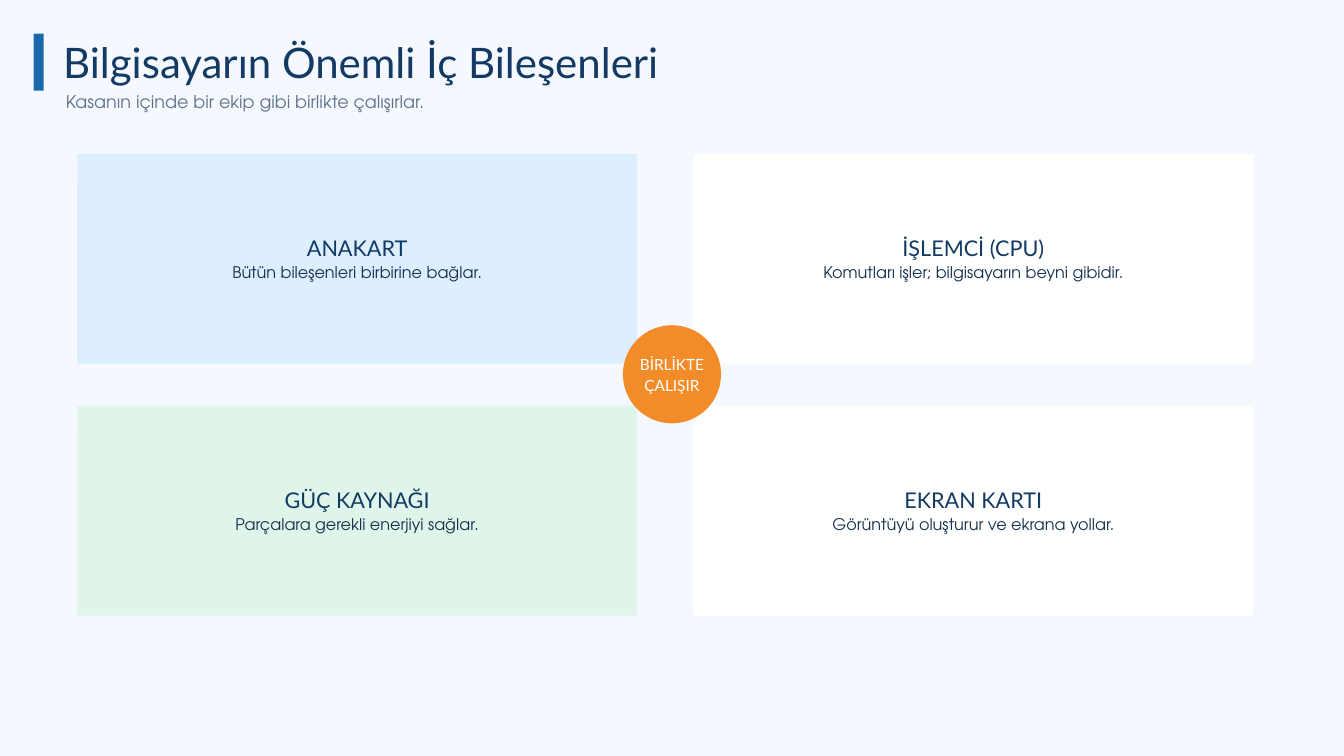
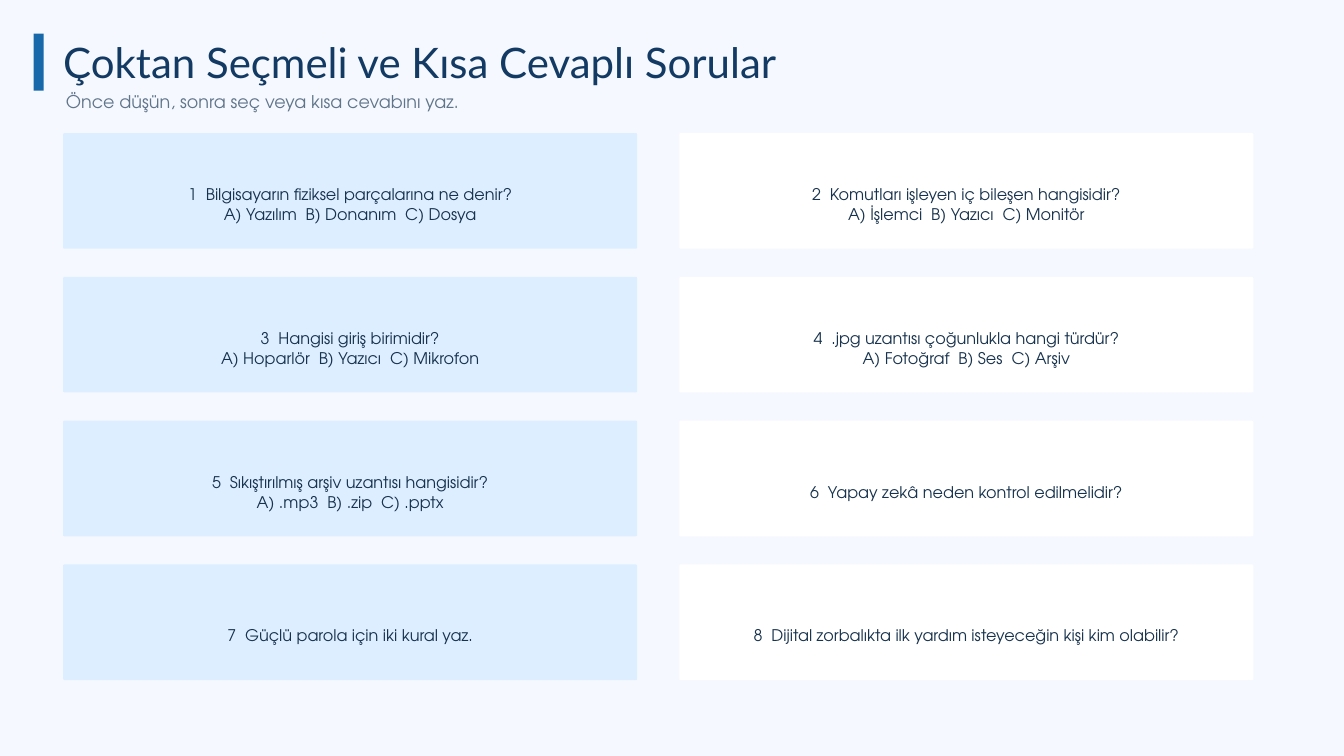
from pptx import Presentation
from pptx.dml.color import RGBColor
from pptx.enum.shapes import MSO_SHAPE as SHAPE
from pptx.enum.text import MSO_ANCHOR as ANCHOR, MSO_AUTO_SIZE as AUTO, PP_ALIGN as ALIGN
from pptx.util import Inches, Pt

PAPER = RGBColor(0xF5, 0xF8, 0xFF)
NAVY = RGBColor(0x12, 0x3A, 0x63)
INK = RGBColor(0x17, 0x32, 0x4D)
GREY = RGBColor(0x60, 0x75, 0x8A)
BLUE = RGBColor(0x17, 0x69, 0xAA)
SKY = RGBColor(0xDC, 0xEE, 0xFF)
MINT = RGBColor(0xDF, 0xF5, 0xE9)
ORANGE = RGBColor(0xF2, 0x8C, 0x28)
WHITE = RGBColor(0xFF, 0xFF, 0xFF)

HEAD_FONT, BODY_FONT = "Lato", "TeX Gyre Adventor"

# Text styles: font, size, colour, line spacing
TITLE = (HEAD_FONT, 45, NAVY, 47.2)
SUBTITLE = (BODY_FONT, 18.8, GREY, 26.2)
CARD_HEAD = (HEAD_FONT, 23.2, NAVY, 25.6)
CARD_BODY = (BODY_FONT, 17.2, INK, 21.6)
BADGE = (HEAD_FONT, 16.5, WHITE, 23.1)

PAD = 0.06
COL_PITCH = 9.17
RIGHT = 18.65
GAP_TRACKING = 480


def write(sp, lines, align=ALIGN.CENTER, anchor=ANCHOR.MIDDLE, pad=PAD, top=PAD, wrap=True):
    """Fill sp with (parts, style) lines; the parts of a line are set apart by a wide space."""
    tf = sp.text_frame
    tf.word_wrap, tf.auto_size, tf.vertical_anchor = wrap, AUTO.NONE, anchor
    tf.margin_left = tf.margin_right = tf.margin_bottom = Inches(pad)
    tf.margin_top = Inches(top)
    for i, (parts, (font, size, color, spacing)) in enumerate(lines):
        p = tf.add_paragraph() if i else tf.paragraphs[0]
        p.alignment, p.line_spacing = align, Pt(spacing)
        p.space_before = p.space_after = Pt(0)
        for j, part in enumerate(parts):
            for text in ([" ", part] if j else [part]):
                r = p.add_run()
                r.text = text
                r.font.name, r.font.size, r.font.color.rgb = font, Pt(size), color
                if text == " ":
                    r.font._element.set("spc", str(GAP_TRACKING))


def block(s, kind, x, y, w, h, color, radius=0.02):
    sp = s.shapes.add_shape(kind, Inches(x), Inches(y), Inches(w), Inches(h))
    sp.shadow.inherit = False
    sp.fill.solid()
    sp.fill.fore_color.rgb = color
    sp.line.fill.background()
    if kind == SHAPE.ROUNDED_RECTANGLE:
        sp.adjustments[0] = radius / h
    return sp


prs = Presentation()
prs.slide_width, prs.slide_height = Inches(20), Inches(11.25)
fill = prs.slide_master.background.fill
fill.solid()
fill.fore_color.rgb = PAPER

# Title, subtitle and accent bar on both slides
headings = [
    ("Bilgisayarın Önemli İç Bileşenleri", "Kasanın içinde bir ekip gibi birlikte çalışırlar."),
    ("Çoktan Seçmeli ve Kısa Cevaplı Sorular", "Önce düşün, sonra seç veya kısa cevabını yaz."),
]
for title, subtitle in headings:
    s = prs.slides.add_slide(prs.slide_layouts[5])
    sp = s.shapes.title
    sp.left, sp.top, sp.width, sp.height = [Inches(v) for v in (0.94, 0.64, 18.12, 0.68)]
    write(sp, [([title], TITLE)], ALIGN.LEFT, ANCHOR.TOP, 0, 0)
    sp = s.shapes.add_textbox(Inches(0.98), Inches(1.3), Inches(15.62), Inches(0.36))
    write(sp, [([subtitle], SUBTITLE)], ALIGN.LEFT, ANCHOR.TOP, 0, 0)
    block(s, SHAPE.RECTANGLE, 0.5, 0.5, 0.15, 0.85, BLUE)
parts_slide, quiz_slide = prs.slides

# Four components around a badge
components = [
    ("ANAKART", "Bütün bileşenleri birbirine bağlar.", SKY),
    ("İŞLEMCİ (CPU)", "Komutları işler; bilgisayarın beyni gibidir.", WHITE),
    ("GÜÇ KAYNAĞI", "Parçalara gerekli enerjiyi sağlar.", MINT),
    ("EKRAN KARTI", "Görüntüyü oluşturur ve ekrana yollar.", WHITE),
]
left, top, row_pitch, height = 1.15, 2.29, 3.75, 3.12
width = RIGHT - COL_PITCH - left
for i, (name, role, color) in enumerate(components):
    row, col = divmod(i, 2)
    sp = block(parts_slide, SHAPE.ROUNDED_RECTANGLE, left + col * COL_PITCH,
               top + row * row_pitch, width, height, color)
    write(sp, [([name], CARD_HEAD), ([role], CARD_BODY)], top=PAD + 0.02)

badge = block(parts_slide, SHAPE.OVAL, 9.27, 4.84, 1.46, 1.46, ORANGE)
write(badge, [(["BİRLİKTE"], BADGE), (["ÇALIŞIR"], BADGE)], pad=0.03, top=0, wrap=False)

# Eight numbered questions, some with options
questions = [
    ("Bilgisayarın fiziksel parçalarına ne denir?", ["A) Yazılım", "B) Donanım", "C) Dosya"]),
    ("Komutları işleyen iç bileşen hangisidir?", ["A) İşlemci", "B) Yazıcı", "C) Monitör"]),
    ("Hangisi giriş birimidir?", ["A) Hoparlör", "B) Yazıcı", "C) Mikrofon"]),
    (".jpg uzantısı çoğunlukla hangi türdür?", ["A) Fotoğraf", "B) Ses", "C) Arşiv"]),
    ("Sıkıştırılmış arşiv uzantısı hangisidir?", ["A) .mp3", "B) .zip", "C) .pptx"]),
    ("Yapay zekâ neden kontrol edilmelidir?", []),
    ("Güçlü parola için iki kural yaz.", []),
    ("Dijital zorbalıkta ilk yardım isteyeceğin kişi kim olabilir?", []),
]
left, top, row_pitch, height = 0.94, 1.98, 2.14, 1.72
width = RIGHT - COL_PITCH - left
for i, (question, options) in enumerate(questions):
    row, col = divmod(i, 2)
    sp = block(quiz_slide, SHAPE.ROUNDED_RECTANGLE, left + col * COL_PITCH,
               top + row * row_pitch, width, height, (SKY, WHITE)[col])
    lines = [([str(i + 1), question], CARD_BODY)]
    if options:
        lines.append((options, CARD_BODY))
    write(sp, lines, top=0.44)

prs.save("out.pptx")
